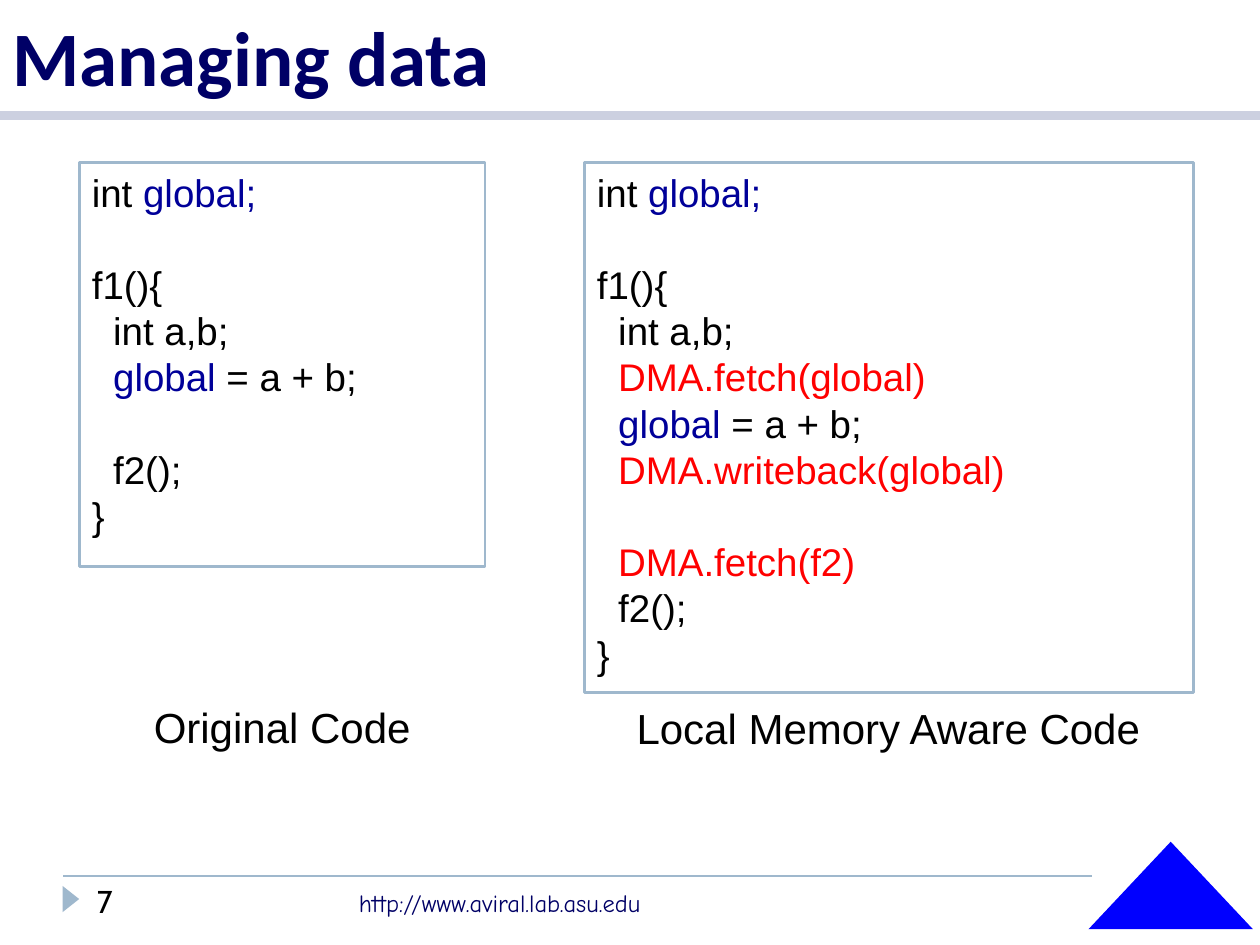
from dataclasses import dataclass

from lxml.etree import SubElement
from pptx import Presentation
from pptx.dml.color import RGBColor as RGB
from pptx.enum.shapes import MSO_CONNECTOR as CONN, MSO_SHAPE as SHAPE
from pptx.enum.text import MSO_ANCHOR as ANCHOR, PP_ALIGN as ALIGN
from pptx.oxml.ns import qn
from pptx.util import Pt


@dataclass(frozen=True)
class Theme:
    navy: str = "000066"
    black: str = "000000"
    white: str = "FFFFFF"
    variable: str = "000099"
    dma: str = "FF0000"
    mark: str = "0000FF"
    accent: str = "9FB8CD"
    rule: str = "CCD0E0"
    title_size: int = 44
    caption_size: int = 24
    code_size: int = 22
    number_size: int = 18
    footer_size: int = 14
    leading: float = 1.2


T = Theme()

ORIGINAL_CODE = [
    [("int", T.black), (" global;", T.variable)],
    [],
    [("f1(){", T.black)],
    [("  int a,b;", T.black)],
    [("  global", T.variable), (" = a + b;", T.black)],
    [],
    [("  f2();", T.black)],
    [("}", T.black)],
]
AWARE_CODE = [
    *ORIGINAL_CODE[:4],
    [("  DMA.fetch(global)", T.dma)],
    ORIGINAL_CODE[4],
    [("  DMA.writeback(global)", T.dma)],
    [],
    [("  DMA.fetch(f2)", T.dma)],
    *ORIGINAL_CODE[6:],
]


def box(left, top, width, height):
    return Pt(left), Pt(top), Pt(width), Pt(height)


def add_run(p, text, font, size, color, bold=False):
    r = p.add_run()
    r.text = text
    r.font.name, r.font.size, r.font.bold = font, Pt(size), bold
    r.font.color.rgb = RGB.from_string(color)


def add_text(slide, text, at, font="Arial", size=18, color=T.black, bold=False,
             align=ALIGN.LEFT, anchor=ANCHOR.TOP, leading=None):
    tf = slide.shapes.add_textbox(*box(*at)).text_frame
    tf.word_wrap = True
    tf.vertical_anchor = anchor
    p = tf.paragraphs[0]
    p.alignment = align
    if leading:
        p.line_spacing = Pt(leading)
    add_run(p, text, font, size, color, bold)


def add_shape(slide, kind, at, fill, line=None):
    sp = slide.shapes.add_shape(kind, *box(*at))
    sp.shadow.inherit = False
    sp.fill.solid()
    sp.fill.fore_color.rgb = RGB.from_string(fill)
    if line:
        sp.line.color.rgb = RGB.from_string(line)
        sp.line.width = Pt(1.5)
    else:
        sp.line.fill.background()
    return sp


def add_rule(slide, left, right, y, color, width):
    """Draw a horizontal line without a shadow."""
    line = slide.shapes.add_connector(CONN.STRAIGHT, Pt(left), Pt(y), Pt(right), Pt(y))
    line.line.color.rgb = RGB.from_string(color)
    line.line.width = Pt(width)
    SubElement(line._element.spPr, qn("a:effectLst"))


def add_code(slide, lines, at):
    """Draw a framed listing; an empty line becomes space before the next one."""
    tf = add_shape(slide, SHAPE.RECTANGLE, at, T.white, T.accent).text_frame
    tf.word_wrap = True
    tf.vertical_anchor = ANCHOR.TOP
    pitch = T.code_size * T.leading
    p, gap = tf.paragraphs[0], 0
    for i, line in enumerate(lines):
        if not line:
            gap += pitch
            continue
        if i:
            p = tf.add_paragraph()
        p.alignment = ALIGN.LEFT
        p.line_spacing = Pt(pitch)
        if gap:
            p.space_before = Pt(gap)
        gap = 0
        for text, color in line:
            add_run(p, text, "Arial", T.code_size, color)


def add_caption(slide, text, at):
    add_text(slide, text, at, size=T.caption_size, align=ALIGN.CENTER,
             leading=T.caption_size * T.leading)


def add_footer(slide):
    add_rule(slide, 36, 624, 500.4, T.accent, 1)
    marker = add_shape(slide, SHAPE.ISOSCELES_TRIANGLE, (33, 509, 15, 9.5), T.accent)
    marker.rotation = 90
    add_text(slide, "7", (48.25, 500.4, 101.5, 29), font="Cabin", size=T.number_size)
    add_text(slide, "http://www.aviral.lab.asu.edu", (198, 504, 210, 24.5),
             font="Comic Neue", size=T.footer_size, color=T.navy)
    add_shape(slide, SHAPE.ISOSCELES_TRIANGLE, (622, 481, 94, 50), T.mark)


def main():
    prs = Presentation()
    prs.slide_width, prs.slide_height = Pt(720), Pt(540)
    slide = prs.slides.add_slide(prs.slide_layouts[6])

    add_rule(slide, 0, 720, 66, T.rule, 5)
    add_text(slide, "Managing data", (0, 0, 720, 62), font="Calibri",
             size=T.title_size, color=T.navy, bold=True, anchor=ANCHOR.BOTTOM)
    add_code(slide, ORIGINAL_CODE, (45.4, 92.9, 231.8, 231))
    add_code(slide, AWARE_CODE, (334, 92.9, 348, 303))
    add_caption(slide, "Original Code", (38, 397.5, 246.5, 35))
    add_caption(slide, "Local Memory Aware Code", (327.6, 398, 360, 35))
    add_footer(slide)

    prs.save("out.pptx")


if __name__ == "__main__":
    main()
